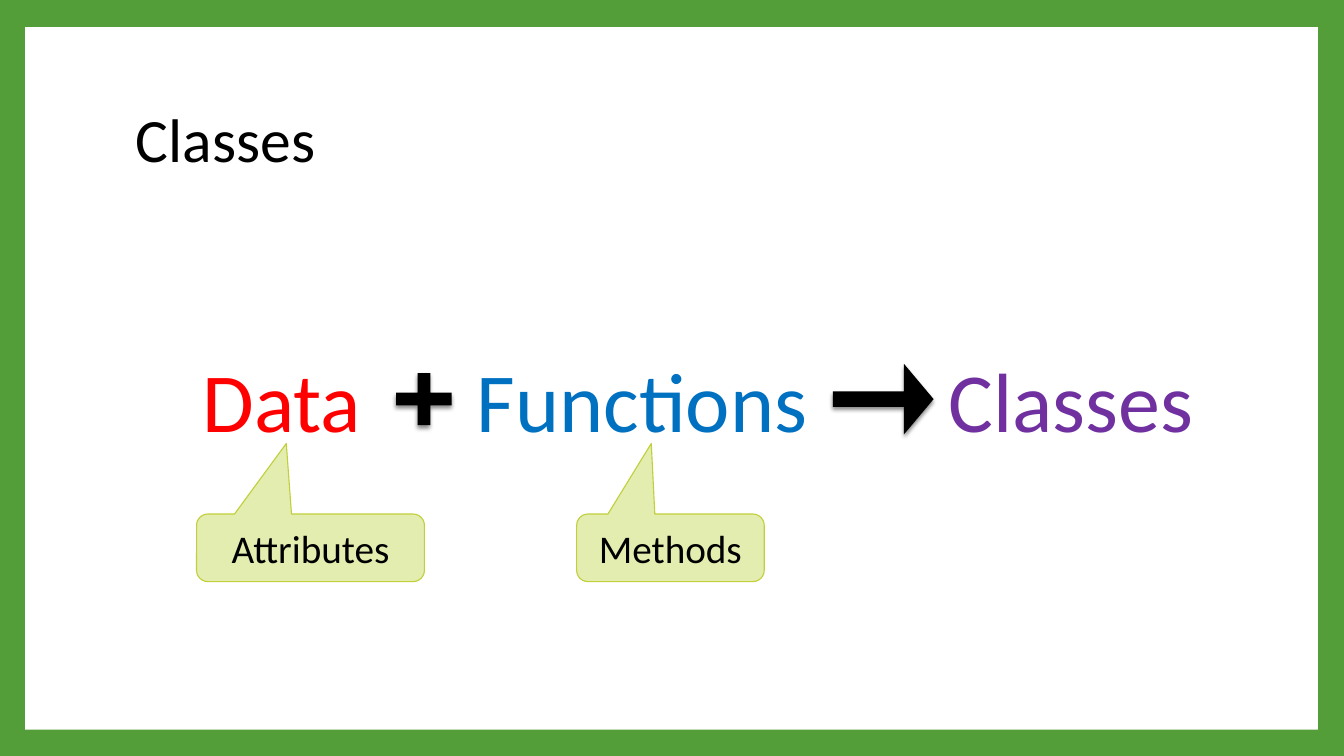
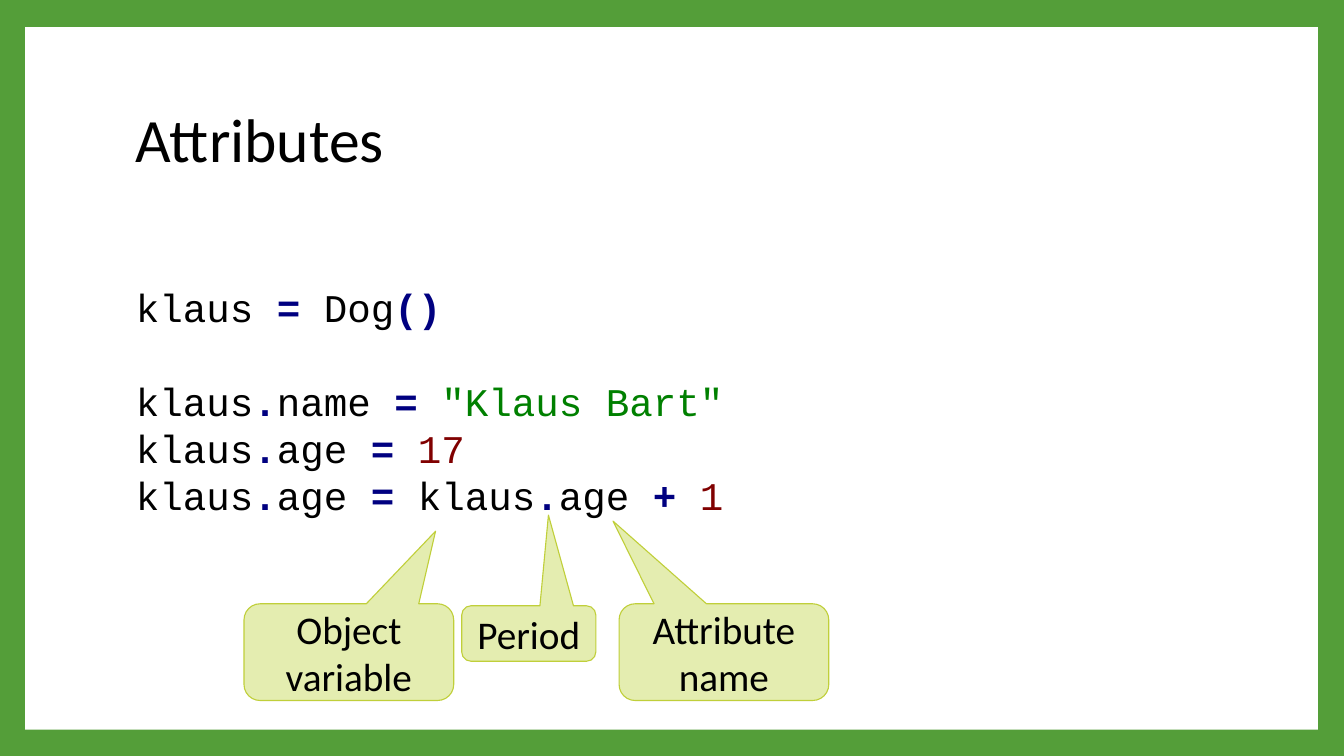
from lxml import etree
from pptx import Presentation
from pptx.dml.color import RGBColor
from pptx.enum import shapes, text
from pptx.oxml.ns import qn
from pptx.util import Inches, Pt

GREEN, WHITE, BLACK = "549E39", "FFFFFF", "000000"
CALLOUT_FILL, CALLOUT_LINE = "E4EDB0", "C0CF3A"
BODY_FONT, CODE_FONT = "Calibri", "Courier New"
CODE_PITCH = Pt(33.6)

# text, box (left, top, width, height), colour
WORDS = [
    ("Data", (1.91, 3.41, 1.88, 1.11), "FF0000"),
    ("Functions", (4.63, 3.41, 3.59, 1.11), "0070C0"),
    ("Classes", (9.31, 3.41, 2.74, 1.11), "7030A0"),
]
# shape, box, adjustments
OPERATORS = [
    (shapes.MSO_SHAPE.MATH_PLUS, (3.83, 3.61, 0.75, 0.7), (0.18,)),
    (shapes.MSO_SHAPE.RIGHT_ARROW, (8.26, 3.61, 1, 0.7), (0.22, 0.42)),
]
# text, box, tip of the pointer
CLASS_CALLOUTS = [
    ("Attributes", (1.95, 5.1, 2.26, 0.67), (2.84, 4.4)),
    ("Methods", (5.72, 5.1, 1.86, 0.67), (6.46, 4.4)),
]
ATTRIBUTE_CALLOUTS = [
    ("Period", (4.58, 6.01, 1.33, 0.55), (5.44, 5.11)),
    ("Object variable", (2.42, 5.99, 2.08, 0.96), (4.32, 5.27)),
    ("Attribute name", (6.14, 5.99, 2.08, 0.96), (6.08, 5.17)),
]

# token kind: colour, bold
TOKENS = {
    "name": (BLACK, False),
    "op": ("000080", True),
    "string": ("008000", False),
    "number": ("800000", False),
}
# each group of lines is set off by a blank line's height
CODE_GROUPS = [
    [
        [("name", "klaus "), ("op", "="), ("name", " Dog"), ("op", "()")],
    ],
    [
        [("name", "klaus"), ("op", "."), ("name", "name "), ("op", "= "),
         ("string", '"Klaus Bart"')],
        [("name", "klaus"), ("op", "."), ("name", "age "), ("op", "= "),
         ("number", "17")],
        [("name", "klaus"), ("op", "."), ("name", "age "), ("op", "= "),
         ("name", "klaus"), ("op", "."), ("name", "age "), ("op", "+ "),
         ("number", "1")],
    ],
]


def rgb(value):
    return RGBColor.from_string(value)


def inches(box):
    return [Inches(v) for v in box]


def style(font, size, color=BLACK, name=BODY_FONT, bold=False):
    font.size, font.name, font.bold = Pt(size), name, bold
    font.color.rgb = rgb(color)


def add_shape(s, kind, box, fill, line=None):
    sp = s.shapes.add_shape(kind, *inches(box))
    sp.shadow.inherit = False
    sp.fill.solid()
    sp.fill.fore_color.rgb = rgb(fill)
    if line:
        sp.line.color.rgb = rgb(line)
        sp.line.width = Pt(0.79)
    else:
        sp.line.fill.background()
    return sp


def add_text(s, content, box, size, color=BLACK, wrap=True):
    tf = s.shapes.add_textbox(*inches(box)).text_frame
    tf.word_wrap = wrap
    tf.text = content
    style(tf.paragraphs[0].runs[0].font, size, color)
    return tf


def add_slide(prs, title):
    s = prs.slides.add_slide(prs.slide_layouts[6])
    add_shape(s, shapes.MSO_SHAPE.RECTANGLE, (0.25, 0.27, 12.82, 6.97), WHITE)
    tf = add_text(s, title, (1.25, 0.67, 10.8, 1.48), 44)
    tf.vertical_anchor = text.MSO_ANCHOR.MIDDLE
    tf.paragraphs[0].line_spacing = 0.9
    return s


def add_callout(s, label, box, tip):
    sp = add_shape(s, shapes.MSO_SHAPE.ROUNDED_RECTANGULAR_CALLOUT, box,
                   CALLOUT_FILL, CALLOUT_LINE)
    left, top, width, height = box
    sp.adjustments[0] = (tip[0] - left) / width - 0.5
    sp.adjustments[1] = (tip[1] - top) / height - 0.5
    tf = sp.text_frame
    tf.word_wrap = True
    tf.vertical_anchor = text.MSO_ANCHOR.MIDDLE
    tf.text = label
    p = tf.paragraphs[0]
    p.alignment = text.PP_ALIGN.CENTER
    style(p.runs[0].font, 28)


def add_drop_shadow(sp):
    effects = sp._element.spPr.find(qn("a:effectLst"))
    shadow = etree.SubElement(
        effects, qn("a:outerShdw"), blurRad=str(Pt(3)), dist=str(Pt(2)),
        dir=str(90 * 60000), rotWithShape="0")
    color = etree.SubElement(shadow, qn("a:srgbClr"), val=BLACK)
    etree.SubElement(color, qn("a:alpha"), val="45000")


def add_operator(s, kind, box, adjustments):
    sp = add_shape(s, kind, box, BLACK)
    for i, value in enumerate(adjustments):
        sp.adjustments[i] = value
    add_drop_shadow(sp)


def add_code(s, groups, box):
    tf = s.shapes.add_textbox(*inches(box)).text_frame
    tf.word_wrap = True
    for g, group in enumerate(groups):
        for i, line in enumerate(group):
            p = tf.paragraphs[0] if g == i == 0 else tf.add_paragraph()
            p.line_spacing = CODE_PITCH
            if g and i == 0:
                p.space_before = CODE_PITCH
            for kind, token in line:
                r = p.add_run()
                r.text = token
                color, bold = TOKENS[kind]
                style(r.font, 28, color, CODE_FONT, bold)


def main():
    prs = Presentation()
    prs.slide_width, prs.slide_height = Inches(13.33), Inches(7.5)
    background = prs.slide_master.background.fill
    background.solid()
    background.fore_color.rgb = rgb(GREEN)

    s = add_slide(prs, "Classes")
    for word, box, color in WORDS:
        add_text(s, word, box, 60, color, wrap=False)
    for operator in OPERATORS:
        add_operator(s, *operator)
    for callout in CLASS_CALLOUTS:
        add_callout(s, *callout)

    s = add_slide(prs, "Attributes")
    add_code(s, CODE_GROUPS, (1.25, 2.76, 6.67, 2.46))
    for callout in ATTRIBUTE_CALLOUTS:
        add_callout(s, *callout)

    prs.save("out.pptx")


if __name__ == "__main__":
    main()
